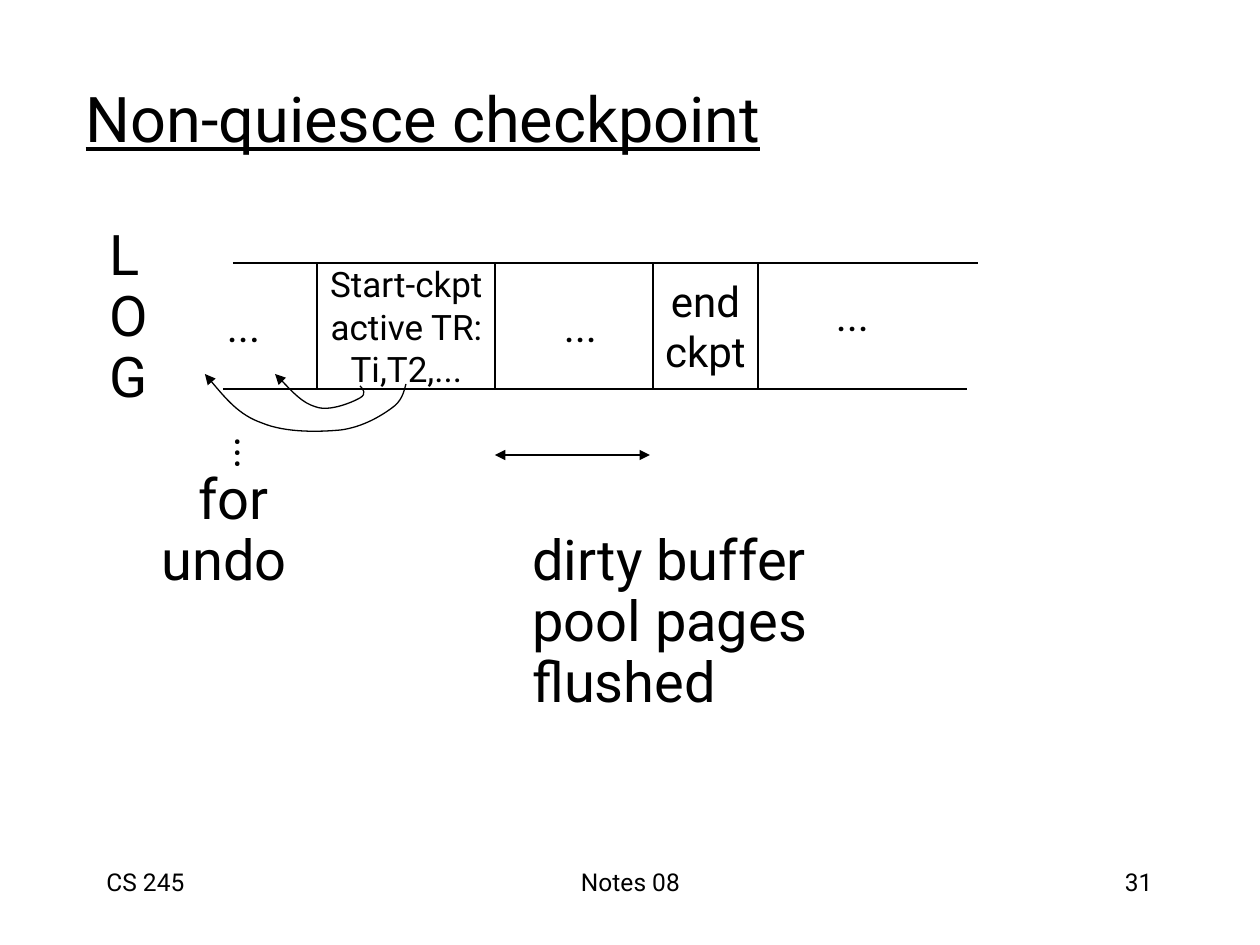
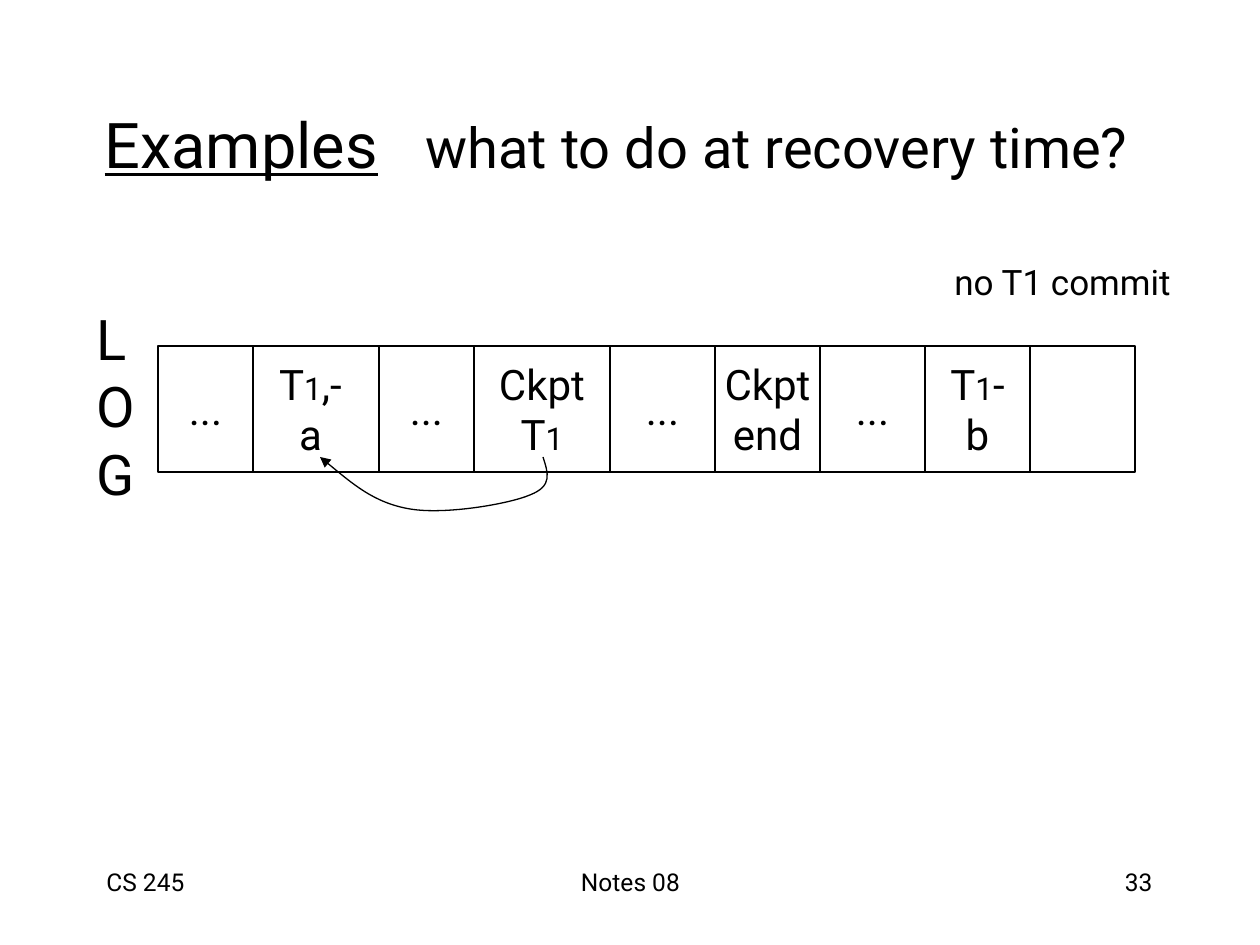
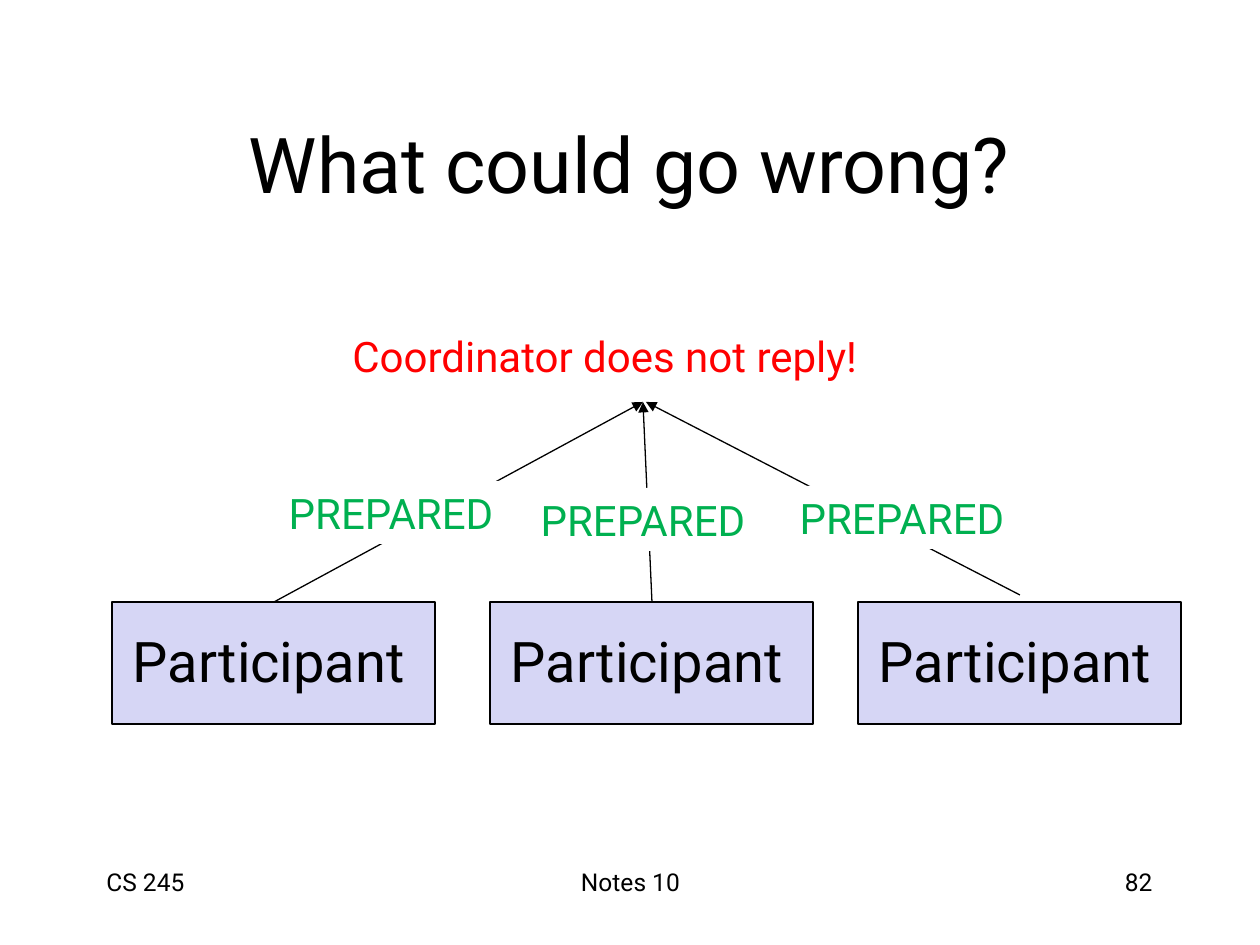
from pptx import Presentation
from pptx.dml.color import RGBColor
from pptx.enum.shapes import MSO_CONNECTOR as Connector, MSO_SHAPE as Shape
from pptx.enum.text import MSO_ANCHOR as Anchor, MSO_AUTO_SIZE as AutoSize, PP_ALIGN as Align
from pptx.oxml.ns import qn
from pptx.oxml.xmlchemy import OxmlElement
from pptx.util import Emu, Inches, Pt

SCALE = 914400 // 126
FONT = "Roboto"
BLACK, WHITE = "000000", "FFFFFF"
LAVENDER, GREEN, RED = "D6D6F5", "00B050", "FF0000"
LINE_WIDTH = 0.75
ELLIPSIS = "..."


def px(length):
    return Emu(int(length * SCALE))


def rgb(value):
    return RGBColor.from_string(value)


def write(frame, paragraphs, size=24, color=BLACK, align=Align.LEFT, anchor=Anchor.TOP,
          underline=False, wrap=True, line_spacing=None, space_before=0, inset=None):
    frame.auto_size = AutoSize.NONE
    frame.word_wrap = wrap
    frame.vertical_anchor = anchor
    if inset is not None:
        frame.margin_left = px(inset)
    for index, content in enumerate(paragraphs):
        paragraph = frame.add_paragraph() if index else frame.paragraphs[0]
        paragraph.alignment = align
        paragraph.space_before = Pt(space_before)
        if line_spacing:
            paragraph.line_spacing = line_spacing
        runs = [(content, size, underline)] if isinstance(content, str) else content
        for words, run_size, underlined in runs:
            run = paragraph.add_run()
            run.text = words
            run.font.name = FONT
            run.font.size = Pt(run_size)
            run.font.underline = underlined
            run.font.color.rgb = rgb(color)


def add_text(slide, paragraphs, left, top, width, height, **style):
    box = slide.shapes.add_textbox(px(left), px(top), px(width), px(height))
    write(box.text_frame, paragraphs, **style)
    return box


def add_box(slide, left, top, width, height, paragraphs=(), fill=WHITE, outlined=True,
            anchor=Anchor.MIDDLE, **style):
    box = slide.shapes.add_shape(Shape.RECTANGLE, px(left), px(top), px(width), px(height))
    box.shadow.inherit = False
    box.fill.solid()
    box.fill.fore_color.rgb = rgb(fill)
    if outlined:
        style_line(box.line)
    else:
        box.line.fill.background()
    write(box.text_frame, paragraphs, align=Align.CENTER, anchor=anchor, wrap=False, **style)


def style_line(line, arrows=()):
    line.color.rgb = rgb(BLACK)
    line.width = Pt(LINE_WIDTH)
    for end in arrows:
        arrow = OxmlElement(f"a:{end}End")
        arrow.set("type", "triangle")
        line._get_or_add_ln().append(arrow)


def add_line(slide, start, end, arrows=()):
    line = slide.shapes.add_connector(Connector.STRAIGHT, *map(px, start + end))
    style_line(line.line, arrows)
    line._element.spPr.append(OxmlElement("a:effectLst"))


def add_curve(slide, start, *points):
    builder = slide.shapes.build_freeform(*start, scale=SCALE)
    builder.add_line_segments(points, close=False)
    curve = builder.convert_to_shape()
    curve.fill.background()
    style_line(curve.line, ["tail"])
    curve.shadow.inherit = False
    segments = list(curve._element.iter(qn("a:lnTo")))
    for first in range(0, len(segments), 3):
        bezier = OxmlElement("a:cubicBezTo")
        segments[first].addprevious(bezier)
        for segment in segments[first:first + 3]:
            bezier.append(segment[0])
            segment.getparent().remove(segment)


def set_tab_stop(paragraph, position):
    stops = OxmlElement("a:tabLst")
    stop = OxmlElement("a:tab")
    stop.set("pos", str(px(position)))
    stop.set("algn", "l")
    stops.append(stop)
    paragraph._p.get_or_add_pPr().append(stops)


def add_slide(deck, title, title_place, notes, number, **title_style):
    slide = deck.slides.add_slide(deck.slide_layouts[5])
    heading = slide.shapes.title
    heading.left, heading.top, heading.width, heading.height = map(px, title_place)
    write(heading.text_frame, [title], anchor=Anchor.MIDDLE, **title_style)
    footers = [("CS 245", 94, 262, Align.LEFT), (notes, 431, 399, Align.CENTER),
               (number, 903, 262, Align.RIGHT)]
    for words, left, width, align in footers:
        add_text(slide, [words], left, 861, width, 63, size=14, align=align)
    return slide


def add_ellipsis(slide, left, top):
    return add_text(slide, [ELLIPSIS], left, top, 59, 63, align=Align.CENTER,
                    anchor=Anchor.MIDDLE, wrap=False)


def checkpoint_slide(deck):
    slide = add_slide(deck, "Non-quiesce checkpoint", (73, 54, 1071, 127), "Notes 08", "31",
                      size=36, underline=True)
    body_top, row_height = 232, 61
    for lines, left, row, width in [("LOG", 97, 0, 70), (["for"], 186, 4, 110),
                                    (["undo"], 149, 5, 170),
                                    (["dirty buffer", "pool pages", "flushed"], 520, 5, 340)]:
        add_text(slide, lines, left, body_top + row * row_height, width,
                 len(lines) * row_height, size=32, line_spacing=0.7, space_before=8)

    log_top, log_height = 263, 126
    add_box(slide, 317, log_top, 179, log_height,
            ["Start-ckpt", "active TR:", "Ti,T2,..."], size=20)
    add_box(slide, 495, log_top, 158, log_height)
    add_box(slide, 653, log_top, 105, log_height, ["end", "ckpt"])
    for left, y in [(758, log_top), (747, log_top + log_height),
                    (233, log_top), (223, log_top + log_height)]:
        add_line(slide, (left, y), (left + 220, y))

    for left, top in [(823, 283), (551, 294), (214, 294)]:
        add_ellipsis(slide, left, top)
    add_ellipsis(slide, 193, 421).rotation = 270
    add_line(slide, (495, 455), (650, 455), ["head", "tail"])
    add_curve(slide, (360, 386), (363, 389), (367, 394), (360, 398),
              (353, 402), (330, 412), (316, 407), (302, 403), (289, 388), (275, 374))
    add_curve(slide, (406, 384), (404, 392), (402, 401), (392, 408),
              (381, 416), (363, 427), (341, 430), (320, 432), (286, 433), (262, 423),
              (239, 415), (222, 394), (205, 374))


def transaction(suffix=""):
    runs = [("T", 24, False), ("1", 18, False)]
    return runs + [(suffix, 24, False)] if suffix else runs


def examples_slide(deck):
    title = [("Examples", 36, True), ("\t", 36, False),
             ("what to do at recovery time?", 32, False)]
    slide = add_slide(deck, title, (92, 64, 1071, 158), "Notes 08", "33")
    set_tab_stop(slide.shapes.title.text_frame.paragraphs[0], 321)
    add_text(slide, ["no T1 commit"], 942, 254, 250, 55, size=20)
    add_text(slide, "LOG", 84, 311, 70, 205, size=32, line_spacing=0.8, space_before=8)

    log_top, log_height = 346, 126
    left = 242
    for width, lines in [(137, [transaction(",-"), "a"]), (95, [ELLIPSIS]),
                         (136, ["Ckpt", transaction()]), (105, [ELLIPSIS]),
                         (105, ["Ckpt", "end"]), (105, [ELLIPSIS]),
                         (105, [transaction("-"), "b"]), (105, [])]:
        add_box(slide, left, log_top, width, log_height, lines)
        left += width
    add_box(slide, 158, log_top, 95, log_height, [ELLIPSIS])
    add_curve(slide, (543, 457), (548, 473), (553, 486), (530, 495),
              (509, 504), (445, 515), (410, 509), (374, 503), (348, 480), (320, 457))


def failure_slide(deck):
    slide = add_slide(deck, "What could go wrong?", (94, 84, 1071, 158), "Notes 10", "82",
                      size=44, align=Align.CENTER)
    for left in (112, 490, 858):
        add_box(slide, left, 602, 323, 122, fill=LAVENDER)
        add_text(slide, ["Participant"], left - 55, 620, 378, 81, size=32, inset=76)
    for start, end in [((643, 402), (274, 602)), ((643, 402), (652, 602)),
                       ((646, 402), (1020, 595))]:
        add_line(slide, start, end, ["head"])
    for left, top in [(275, 481), (527, 488), (786, 486)]:
        add_box(slide, left, top, 232, 63, ["PREPARED"], outlined=False,
                anchor=Anchor.TOP, color=GREEN)
    add_text(slide, ["Coordinator does not reply!"], 340, 324, 568, 63, color=RED)


def main():
    deck = Presentation()
    deck.slide_width, deck.slide_height = Inches(10), Inches(7.5)
    checkpoint_slide(deck)
    examples_slide(deck)
    failure_slide(deck)
    deck.save("out.pptx")


main()
